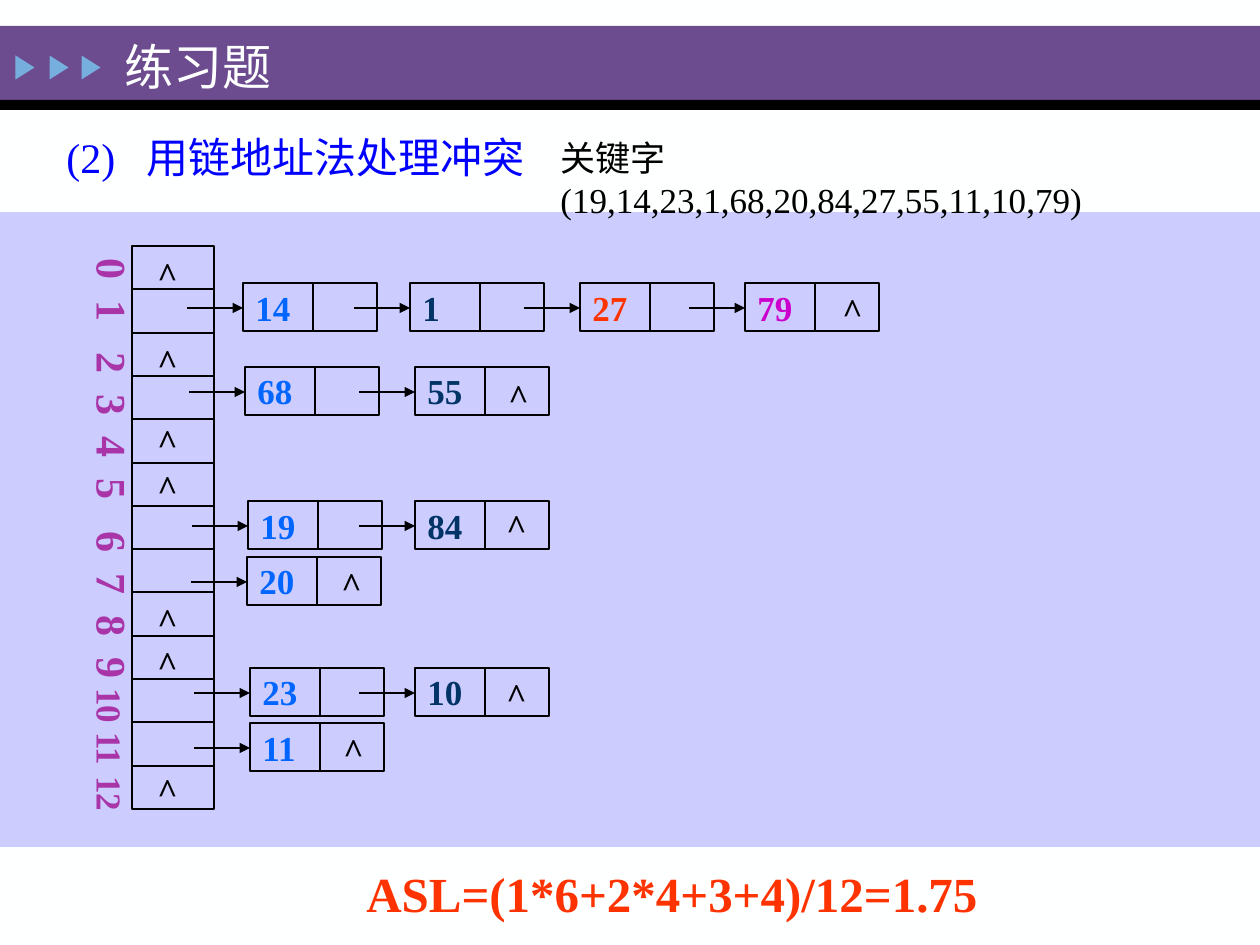
from dataclasses import dataclass

from lxml.etree import SubElement
from pptx import Presentation
from pptx.dml.color import RGBColor
from pptx.enum.shapes import MSO_CONNECTOR, MSO_SHAPE
from pptx.enum.text import MSO_ANCHOR, MSO_AUTO_SIZE, PP_ALIGN
from pptx.oxml.ns import qn
from pptx.util import Emu, Pt


@dataclass(frozen=True)
class Theme:
    font: str = "Times New Roman"
    paper: str = "FEFFFF"
    band: str = "6C4C8F"
    marker: str = "76AEDD"
    panel: str = "CCCCFF"
    ink: str = "000000"
    heading: str = "0000FF"
    index: str = "A834A8"
    first: str = "0066FF"
    second: str = "003366"
    third: str = "FF3300"
    fourth: str = "CC00CC"
    title_size: int = 28
    head_size: int = 24
    body_size: int = 20
    line: float = 0.75


class Deck:
    """Draws themed elements, measured in px, on the current slide."""

    SCALE = 914400 / 126
    NODE_W, NODE_H, SPLIT = 134, 48, 70

    def __init__(self, theme):
        self.t = theme
        self.prs = Presentation()
        self.prs.slide_width, self.prs.slide_height = self.emu(1260, 945)
        self.s = self.prs.slides.add_slide(self.prs.slide_layouts[5])
        self.s.background.fill.solid()
        self.s.background.fill.fore_color.rgb = RGBColor.from_string(theme.paper)

    def emu(self, *px):
        return [Emu(round(n * self.SCALE)) for n in px]

    def add_run(self, p, text, color, size, bold=False):
        r = p.add_run()
        r.text = text
        style = {"name": self.t.font, "size": Pt(size), "bold": bold}
        for key, value in style.items():
            setattr(r.font, key, value)
        r.font.color.rgb = RGBColor.from_string(color)

    def set_text(self, sp, runs, anchor=MSO_ANCHOR.TOP, tabs=()):
        tf = sp.text_frame
        frame = {"word_wrap": True, "auto_size": MSO_AUTO_SIZE.NONE,
                 "vertical_anchor": anchor}
        for key, value in frame.items():
            setattr(tf, key, value)
        p = tf.paragraphs[0]
        p.alignment = PP_ALIGN.LEFT
        if tabs:
            stops = SubElement(sp.element.find(".//" + qn("a:pPr")), qn("a:tabLst"))
            for pos in self.emu(*tabs):
                SubElement(stops, qn("a:tab"), pos=str(int(pos)), algn="l")
        for r in runs:
            self.add_run(p, *r)

    def title(self, box, text):
        sp = self.s.shapes.title
        for key, value in zip(("left", "top", "width", "height"), self.emu(*box)):
            setattr(sp, key, value)
        self.set_text(sp, [(text, self.t.paper, self.t.title_size)],
                      MSO_ANCHOR.MIDDLE)
        sp.element.getparent().append(sp.element)

    def text(self, box, *runs, tabs=(), vert=None):
        sp = self.s.shapes.add_textbox(*self.emu(*box))
        self.set_text(sp, runs, tabs=tabs)
        if vert:
            sp.element.find(".//" + qn("a:bodyPr")).set("vert", vert)

    def shape(self, box, fill=None, kind=MSO_SHAPE.RECTANGLE, rotation=0):
        sp = self.s.shapes.add_shape(kind, *self.emu(*box))
        sp.shadow.inherit = False
        sp.rotation = rotation
        if fill:
            sp.fill.solid()
            sp.fill.fore_color.rgb = RGBColor.from_string(fill)
            sp.line.fill.background()
        else:
            sp.fill.background()
            sp.line.color.rgb = RGBColor.from_string(self.t.ink)
            sp.line.width = Pt(self.t.line)
        return sp

    def line(self, x1, y1, x2, y2, arrow=False):
        c = self.s.shapes.add_connector(
            MSO_CONNECTOR.STRAIGHT, *self.emu(x1, y1, x2, y2))
        c.line.color.rgb = RGBColor.from_string(self.t.ink)
        c.line.width = Pt(self.t.line)
        if arrow:
            ln = c.element.find(".//" + qn("a:ln"))
            SubElement(ln, qn("a:tailEnd"), type="triangle")
        SubElement(c.element.find(qn("p:spPr")), qn("a:effectLst"))

    def null(self, x, y):
        self.text((x, y, 45, 54), ("^", self.t.ink, self.t.body_size, True))

    def node(self, x, y, key, color):
        sp = self.shape((x, y, self.NODE_W, self.NODE_H))
        self.set_text(sp, [(key, color, self.t.body_size, True)], MSO_ANCHOR.MIDDLE)
        self.line(x + self.SPLIT, y, x + self.SPLIT, y + self.NODE_H)
        self.line(x - 56, y + 25, x, y + 25, arrow=True)

    def buckets(self, x, y, width, height, count):
        self.shape((x, y, width, height))
        for i in range(1, count):
            row = round(y + i * height / count)
            self.line(x, row, x + width, row)


def main():
    t = Theme()
    d = Deck(t)
    d.shape((0, 26, 1260, 74), t.band)
    d.shape((0, 100, 1260, 10), t.ink)
    for x in (13, 47, 79):
        d.shape((x, 58, 24, 19), t.marker, MSO_SHAPE.ISOSCELES_TRIANGLE, 90)
    d.shape((0, 212, 1260, 635), t.panel)
    d.text((54, 125, 491, 64), ("(2)\t用链地址法处理冲突", t.heading, t.head_size),
           tabs=(80,))

    d.buckets(132, 246, 82, 563, 13)
    d.text((68, 246, 77, 601),
           ("\t".join(map(str, range(10))) + "\t", t.index, t.head_size, True),
           ("10\t11\t12", t.index, t.body_size, True),
           tabs=(42, 94, 136, 178, 220, 273, 315, 357, 399, 430, 474, 518),
           vert="eaVert")
    for y in (246, 333, 413, 459, 592, 635, 762):
        d.null(145, y)

    chains = [
        (283, {"14": 243, "1": 410, "27": 580, "79": 745}, (830, 282)),
        (367, {"68": 245, "55": 415}, (496, 368)),
        (501, {"19": 248, "84": 415}, (494, 498)),
        (557, {"20": 247}, (329, 556)),
        (668, {"23": 250, "10": 415}, (494, 667)),
        (723, {"11": 250}, (331, 722)),
    ]
    depth_colors = (t.first, t.second, t.third, t.fourth)
    for y, nodes, end in chains:
        for (key, x), color in zip(nodes.items(), depth_colors):
            d.node(x, y, key, color)
        d.null(*end)

    d.text((354, 857, 645, 72),
           ("ASL=(1*6+2*4+3+4)/12=1.75", t.third, t.title_size, True))
    d.text((548, 130, 630, 54),
           ("关键字(19,14,23,1,68,20,84,27,55,11,10,79)", t.ink, t.body_size))
    d.title((112, 30, 447, 71), "练习题")
    d.prs.save("out.pptx")


if __name__ == "__main__":
    main()
